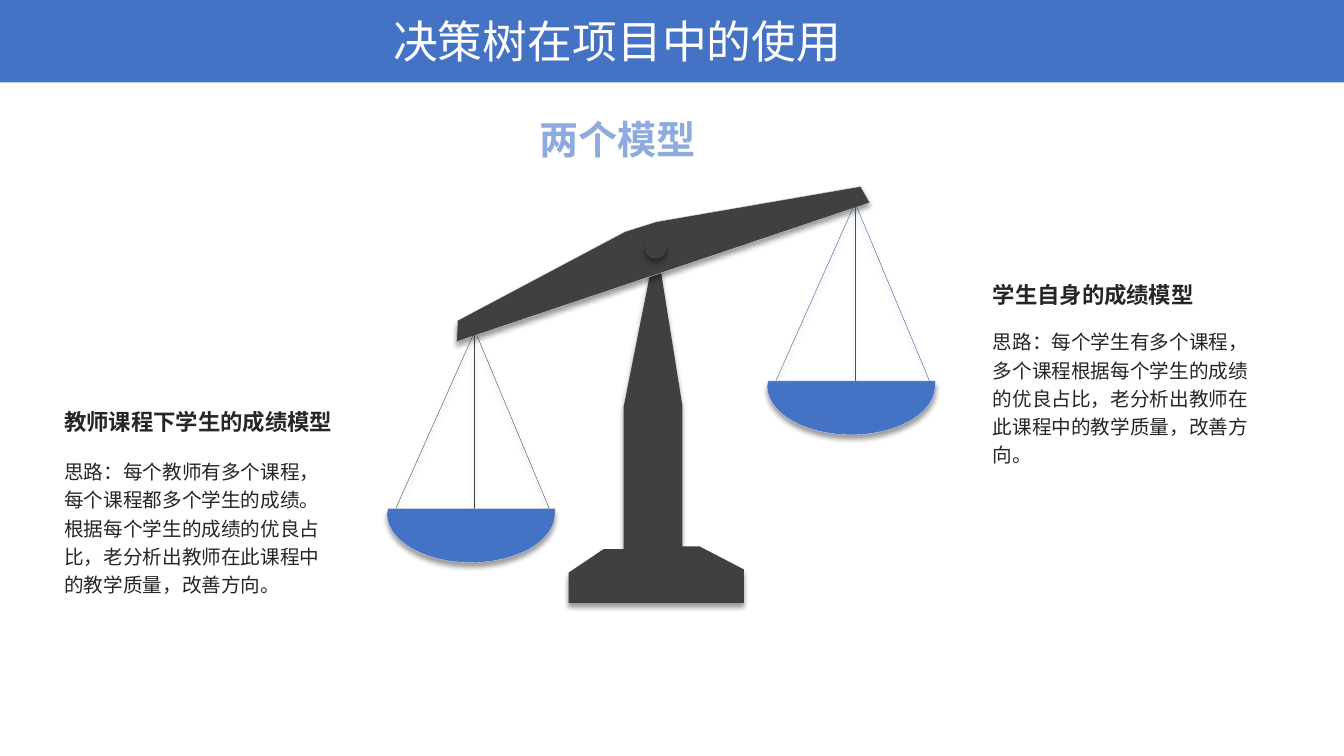
import math
import lxml.etree
import pptx
import pptx.dml.color
import pptx.enum.shapes
import pptx.enum.text
import pptx.oxml.ns
import pptx.util

Cm = pptx.util.Cm
Pt = pptx.util.Pt
RGBColor = pptx.dml.color.RGBColor
qn = pptx.oxml.ns.qn
SHAPE = pptx.enum.shapes.MSO_SHAPE
STRAIGHT = pptx.enum.shapes.MSO_CONNECTOR.STRAIGHT
GROW = pptx.enum.text.MSO_AUTO_SIZE.SHAPE_TO_FIT_TEXT
LEFT = pptx.enum.text.PP_ALIGN.LEFT
CENTER = pptx.enum.text.PP_ALIGN.CENTER

BLUE = RGBColor(0x44, 0x72, 0xC4)
NAVY = RGBColor(0x2F, 0x55, 0x97)
PALE = RGBColor(0x8F, 0xAA, 0xDC)
DARK = RGBColor(0x40, 0x40, 0x40)
INK = RGBColor(0x26, 0x26, 0x26)
EDGE = RGBColor(0xD7, 0xD7, 0xD7)
WHITE = RGBColor(0xFF, 0xFF, 0xFF)
FONT = "Noto Sans CJK SC"

TITLE = dict(size=Pt(32), color=WHITE, align=CENTER)
THEME = dict(size=Pt(28), color=PALE, align=CENTER, bold=True)
HEAD = dict(size=Pt(16), color=INK, bold=True)
BODY = dict(size=Pt(14), color=INK, space=1.2)


def apply(target, values):
    for name, value in values.items():
        setattr(target, name, value)


class Board:
    def __init__(self, slide):
        self.slide = slide
        self.shapes = slide.shapes

    def shade(self, shape):
        props = shape._element.spPr
        for old in props.findall(qn("a:effectLst")):
            props.remove(old)
        sub = lxml.etree.SubElement
        effects = sub(props, qn("a:effectLst"))
        outer = sub(effects, qn("a:outerShdw"), blurRad=str(Pt(4)),
                    dist=str(Pt(3)), dir="5400000", algn="t", rotWithShape="0")
        tint = sub(outer, qn("a:srgbClr"), val="000000")
        sub(tint, qn("a:alpha"), val="40000")

    def paint(self, shape, fill, edge=None, shadow=True):
        shape.fill.solid()
        shape.fill.fore_color.rgb = fill
        if edge is None:
            shape.line.fill.background()
        else:
            shape.line.color.rgb = edge
            shape.line.width = Pt(0.25)
        shape.shadow.inherit = False
        if shadow:
            self.shade(shape)

    def preset(self, kind, box, fill, shadow=True):
        self.paint(self.shapes.add_shape(kind, *map(Cm, box)), fill, shadow=shadow)

    def outline(self, points, fill, edge=None):
        start, *rest = [(Cm(x), Cm(y)) for x, y in points]
        builder = self.shapes.build_freeform(*start)
        builder.add_line_segments(rest, close=True)
        self.paint(builder.convert_to_shape(), fill, edge)

    def cord(self, start, end, color):
        line = self.shapes.add_connector(STRAIGHT, *map(Cm, (*start, *end)))
        apply(line.line, dict(width=Pt(0.25)))
        line.line.color.rgb = color
        self.shade(line)

    def pan(self, x, y, color):
        self.shapes = self.slide.shapes.add_group_shape().shapes
        for shift, dx, dy in ((0.05, 1.93, 4.5), (0, 0, 4.47), (-0.03, -1.98, 4.37)):
            self.cord((x + shift, y), (x + dx, y + dy), color)
        bowl = [(x + 2.03, y + 4.39), (x - 2.18, y + 4.39)]
        for step in range(25):
            angle = math.pi * (1 - step / 24)
            bowl.append((x - 0.09 + 2.12 * math.cos(angle),
                         y + 4.52 + 1.23 * math.sin(angle)))
        self.outline(bowl, BLUE, EDGE)
        self.shapes = self.slide.shapes

    def text(self, box, lines, size, color, align=LEFT, bold=False, space=None):
        frame = self.shapes.add_textbox(*map(Cm, box)).text_frame
        apply(frame, dict(word_wrap=True, auto_size=GROW, text="\n".join(lines)))
        for para in frame.paragraphs:
            apply(para, dict(alignment=align, line_spacing=space))
            for run in para.runs:
                apply(run.font, dict(name=FONT, size=size, bold=bold))
                run.font.color.rgb = color
                lxml.etree.SubElement(run.font._element, qn("a:ea"), typeface=FONT)


deck = pptx.Presentation()
apply(deck, dict(slide_width=Cm(33.87), slide_height=Cm(19.05)))
board = Board(deck.slides.add_slide(deck.slide_layouts[6]))

board.preset(SHAPE.RECTANGLE, (0, 0, 33.87, 2.08), BLUE, shadow=False)
board.text((9.07, 0.23, 12.98, 1.63), ["决策树在项目中的使用"], **TITLE)

post = [(16.54, 6.12), (17.2, 10.24), (17.2, 13.77), (17.63, 13.77),
        (18.75, 14.35), (18.75, 15.19), (14.33, 15.19), (14.33, 14.43),
        (15.21, 13.84), (15.72, 13.84), (15.72, 10.24)]
beam = [(11.51, 8.61), (21.92, 5.11), (21.69, 4.7), (16.54, 5.59),
        (15.75, 5.84), (11.53, 8.08)]
board.outline(post, DARK)
board.outline(beam, DARK, EDGE)
board.preset(SHAPE.OVAL, (16.26, 5.99, 0.53, 0.53), DARK)
board.pan(21.54, 5.21, NAVY)
board.pan(11.96, 8.43, DARK)

board.text((24.77, 8.08, 7.34, 3.84), [
    "思路：每个学生有多个课程，多个课程根据每个学生的成绩的优良占比，"
    "老分析出教师在此课程中的教学质量，改善方向。"], **BODY)
board.text((1.37, 11.35, 7.34, 3.84), [
    "思路：每个教师有多个课程，每个课程都多个学生的成绩。",
    "根据每个学生的成绩的优良占比，老分析出教师在此课程中的教学质量，改善方向。"], **BODY)
board.text((1.37, 10.16, 7.34, 0.94), ["教师课程下学生的成绩模型"], **HEAD)
board.text((24.77, 6.96, 6.27, 0.94), ["学生自身的成绩模型"], **HEAD)
board.text((11, 2.79, 9.12, 1.45), ["两个模型"], **THEME)

deck.save("out.pptx")
